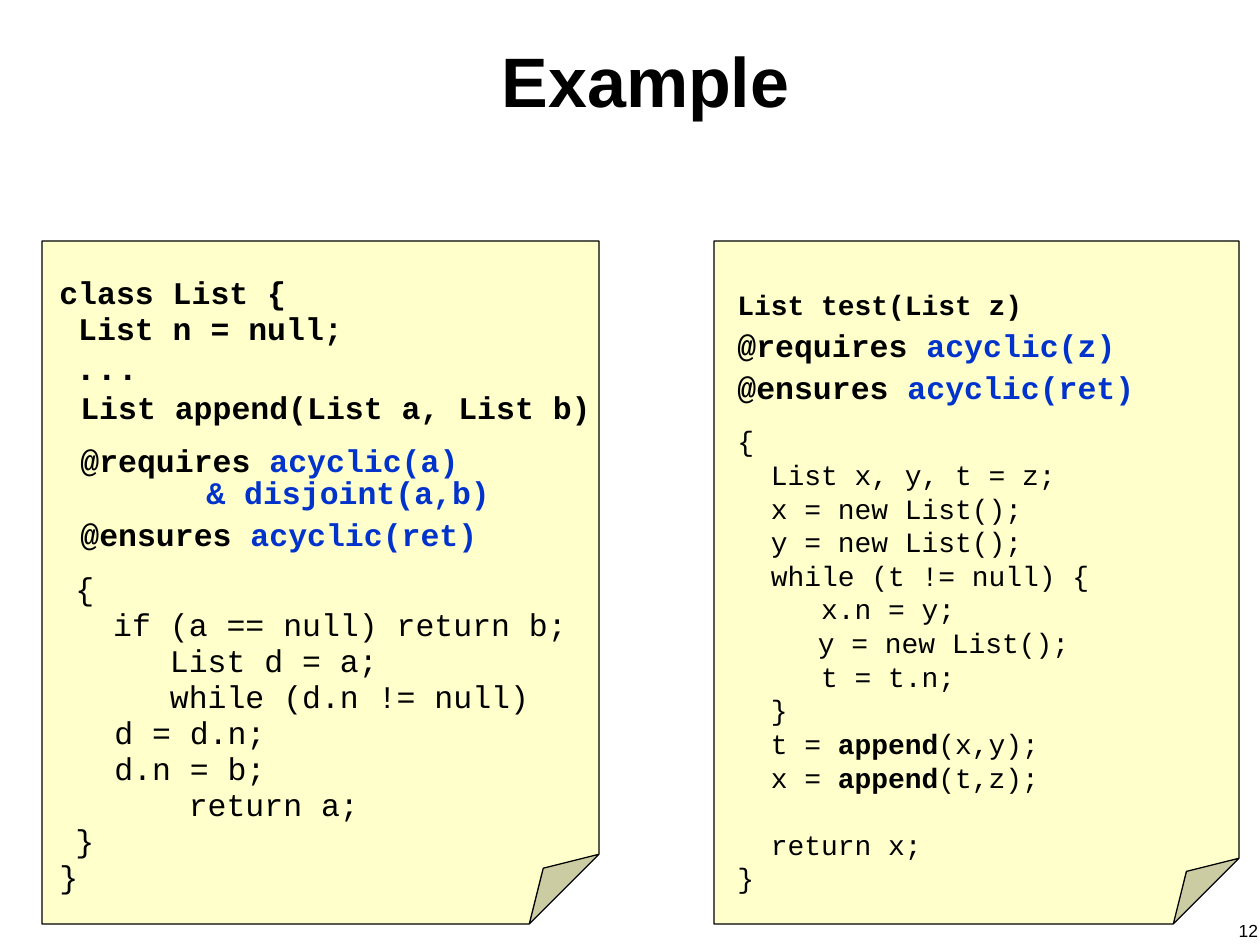
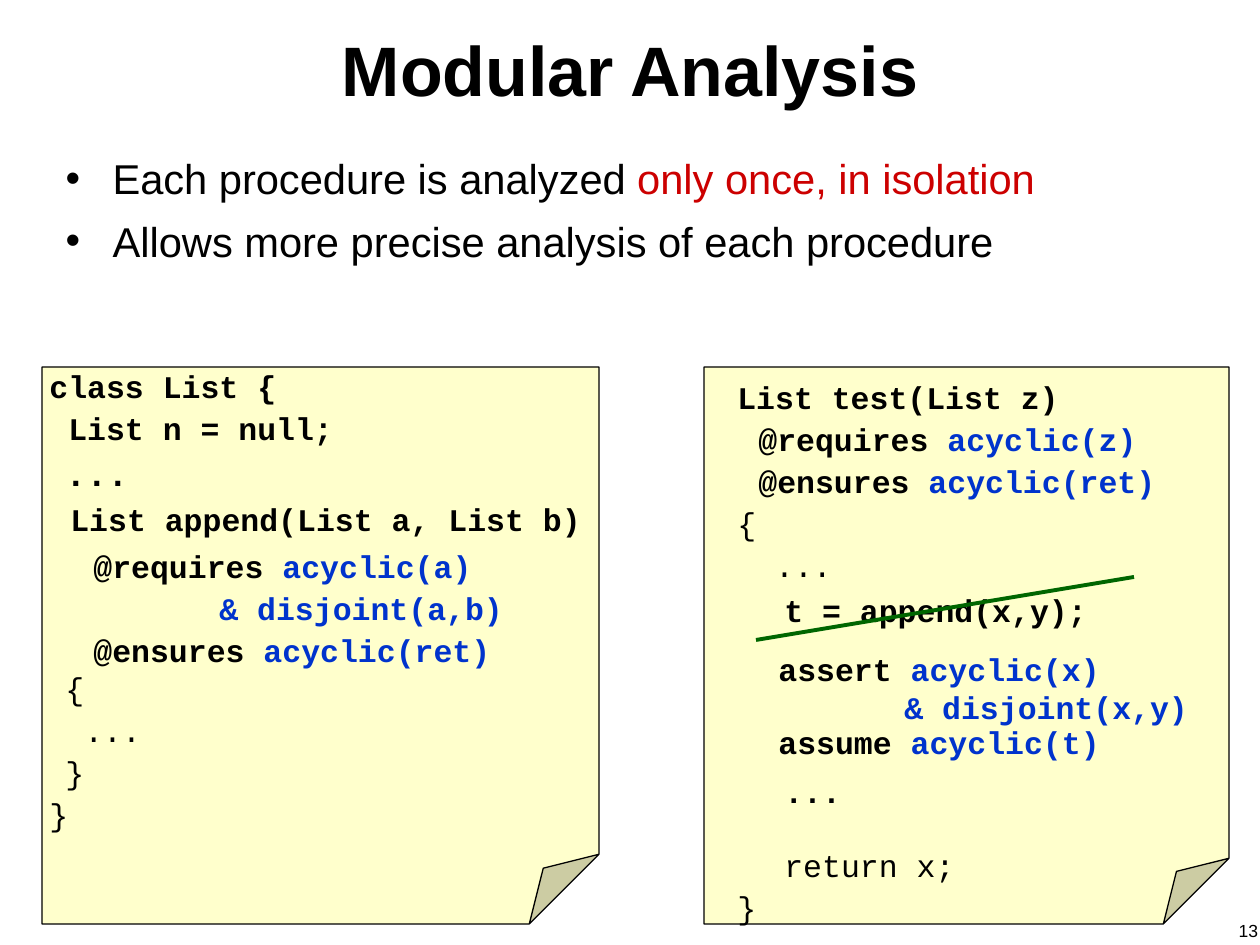
from dataclasses import dataclass
from typing import NamedTuple

from pptx import Presentation
from pptx import util as u
from pptx.dml.color import RGBColor
from pptx.enum import shapes, text
from pptx.oxml.xmlchemy import OxmlElement
from pptx.shapes.autoshape import Shape
from pptx.slide import Slide

PX_PER_INCH = 126
SLIDE_W, SLIDE_H = 1260, 945


@dataclass(frozen=True)
class Theme:
    ink: RGBColor = RGBColor(0x00, 0x00, 0x00)
    note: RGBColor = RGBColor(0xFF, 0xFF, 0xCC)
    formula: RGBColor = RGBColor(0x00, 0x33, 0xCC)
    emphasis: RGBColor = RGBColor(0xCC, 0x00, 0x00)
    strike: RGBColor = RGBColor(0x00, 0x66, 0x00)
    sans: str = "Arial"
    mono: str = "Courier New"
    title: float = 40
    body: float = 23.8
    code: float = 18
    small_code: float = 16
    ellipsis: float = 20
    number: float = 10


THEME = Theme()


class Box(NamedTuple):
    x: int
    y: int
    w: int
    h: int


class Run(NamedTuple):
    text: str
    bold: bool = False
    color: RGBColor = THEME.ink


@dataclass(frozen=True)
class Line:
    runs: tuple[Run, ...]
    indent: int = 0
    before: float | None = None
    size: float | None = None


@dataclass(frozen=True)
class CodeStyle:
    size: float
    spacing: float
    before: float


TEST_CODE = CodeStyle(THEME.small_code, 0.95, 1)
TIGHT_CODE = CodeStyle(THEME.code, 0.85, 2.2)
LOOSE_CODE = CodeStyle(THEME.code, 0.85, 5.6)
CHECK_CODE = CodeStyle(THEME.code, 1.0, 0)


def px(value: int) -> u.Emu:
    return u.Emu(round(value * u.Inches(1) / PX_PER_INCH))


def place(sp: Shape, box: Box) -> None:
    sp.left, sp.top, sp.width, sp.height = map(px, box)


def plain(words: str, indent: int = 0, before: float | None = None) -> Line:
    return Line((Run(words),), indent, before)


def strong(words: str, indent: int = 0, before: float | None = None,
           size: float | None = None) -> Line:
    return Line((Run(words, True),), indent, before, size)


def clause(keyword: str, formula: str) -> Line:
    return Line((Run(keyword, True), Run(f" {formula}", True, THEME.formula)))


def continued(formula: str, before: float | None = None) -> Line:
    return Line((Run(formula, True, THEME.formula),), 126, before)


def call(target: str, arguments: str) -> Line:
    return Line((Run(f"  {target} = "), Run("append", True), Run(f"{arguments};")))


def add_runs(p, runs: tuple[Run, ...], font: str, size: float) -> None:
    for run in runs:
        r = p.add_run()
        r.text = run.text
        r.font.name, r.font.size, r.font.bold = font, u.Pt(size), run.bold
        r.font.color.rgb = run.color


def add_code(s: Slide, box: Box, style: CodeStyle, lines: list[Line]) -> None:
    tf = s.shapes.add_textbox(*map(px, box)).text_frame
    tf.word_wrap = True
    for i, line in enumerate(lines):
        p = tf.add_paragraph() if i else tf.paragraphs[0]
        p.line_spacing = style.spacing
        if i:
            p.space_before = u.Pt(style.before if line.before is None else line.before)
        if line.indent:
            p._p.get_or_add_pPr().set("marL", str(px(line.indent)))
        add_runs(p, line.runs, THEME.mono, line.size or style.size)


def add_note(s: Slide, box: Box) -> None:
    sp = s.shapes.add_shape(shapes.MSO_SHAPE.FOLDED_CORNER, *map(px, box))
    sp.shadow.inherit = False
    fold = OxmlElement("a:gd")
    fold.set("name", "adj")
    fold.set("fmla", "val 12500")
    sp._element.spPr.prstGeom.get_or_add_avLst().append(fold)
    sp.fill.solid()
    sp.fill.fore_color.rgb = THEME.note
    sp.line.color.rgb = THEME.ink
    sp.line.width = u.Pt(0.75)


def add_strike(s: Slide, start: tuple[int, int], end: tuple[int, int]) -> None:
    line = s.shapes.add_connector(
        shapes.MSO_CONNECTOR.STRAIGHT, *map(px, start + end))
    line.line.color.rgb = THEME.strike
    line.line.width = u.Pt(2.25)
    line._element.spPr.append(OxmlElement("a:effectLst"))


def set_title(s: Slide, words: str, box: Box) -> None:
    sp = s.shapes.title
    place(sp, box)
    tf = sp.text_frame
    tf.auto_size = text.MSO_AUTO_SIZE.NONE
    tf.vertical_anchor = text.MSO_ANCHOR.MIDDLE
    p = tf.paragraphs[0]
    p.alignment = text.PP_ALIGN.CENTER
    add_runs(p, (Run(words, True),), THEME.sans, THEME.title)


def set_bullets(s: Slide, box: Box, items: list[tuple[Run, ...]]) -> None:
    sp = s.placeholders[1]
    place(sp, box)
    tf = sp.text_frame
    tf.auto_size = text.MSO_AUTO_SIZE.NONE
    for i, runs in enumerate(items):
        p = tf.add_paragraph() if i else tf.paragraphs[0]
        p.space_before = u.Pt(7 if i else 0)
        pPr = p._p.get_or_add_pPr()
        pPr.set("marL", str(px(47)))
        pPr.set("indent", str(px(-47)))
        bullet = OxmlElement("a:buChar")
        bullet.set("char", "•")
        pPr.append(bullet)
        add_runs(p, runs, THEME.sans, THEME.body)


def add_number(s: Slide, number: int) -> None:
    tf = s.shapes.add_textbox(*map(px, Box(1200, 914, 60, 31))).text_frame
    tf.word_wrap = True
    tf.margin_right = px(2)
    p = tf.paragraphs[0]
    p.alignment = text.PP_ALIGN.RIGHT
    add_runs(p, (Run(str(number)),), THEME.sans, THEME.number)


def class_header(style: CodeStyle) -> list[Line]:
    return [
        strong("class List {"),
        strong(" List n = null;"),
        strong("...", 16, style.before + 0.4, THEME.ellipsis),
        strong("List append(List a, List b)", 21, style.before + 1.4),
    ]


def append_contract(before: float) -> list[Line]:
    return [
        clause("@requires", "acyclic(a)"),
        continued("& disjoint(a,b)", before),
        clause("@ensures", "acyclic(ret)"),
    ]


def add_test_contract(s: Slide, x: int, y: int) -> None:
    lines = (clause("@requires", "acyclic(z)"), clause("@ensures", "acyclic(ret)"))
    for i, line in enumerate(lines):
        add_code(s, Box(x, y + 42 * i, 510, 63), LOOSE_CODE, [line])


def build_example(prs) -> None:
    s = prs.slides.add_slide(prs.slide_layouts[5])
    set_title(s, "Example", Box(31, 0, 1229, 158))
    add_note(s, Box(714, 241, 525, 683))
    add_note(s, Box(42, 241, 557, 683))
    add_code(s, Box(725, 284, 494, 609), TEST_CODE, [
        strong("List test(List z)"),
        plain("{", before=59.5),
        plain("  List x, y, t = z;"),
        plain("  x = new List();"),
        plain("  y = new List();"),
        plain("  while (t != null) {"),
        plain("     x.n = y;"),
        plain("  y = new List();", 47),
        plain("     t = t.n;"),
        plain("  }"),
        call("t", "(x,y)"),
        call("x", "(t,z)"),
        plain("  return x;", before=20.2),
        plain("}"),
    ])
    add_code(s, Box(47, 273, 593, 640), TIGHT_CODE, class_header(TIGHT_CODE) + [
        plain("{", 16, 85),
        plain("  if (a == null) return b;", 16),
        plain("     List d = a;", 16),
        plain("     while (d.n != null)", 16),
        plain("d = d.n;", 55),
        plain("d.n = b;", 55),
        plain("      return a;", 16),
        plain("}", 16),
        plain("}"),
    ])
    add_code(s, Box(68, 441, 507, 126), LOOSE_CODE, append_contract(0))
    add_test_contract(s, 725, 326)
    add_number(s, 12)


def build_modular_analysis(prs) -> None:
    s = prs.slides.add_slide(prs.slide_layouts[1])
    set_title(s, "Modular Analysis", Box(63, 0, 1134, 137))
    set_bullets(s, Box(53, 147, 1165, 126), [
        (Run("Each procedure is analyzed "),
         Run("only once, in isolation", color=THEME.emphasis)),
        (Run("Allows more precise analysis of each procedure"),),
    ])
    add_note(s, Box(704, 367, 525, 557))
    add_note(s, Box(42, 367, 557, 557))
    add_code(s, Box(725, 378, 441, 567), LOOSE_CODE, [
        strong("List test(List z)"),
        plain("{", before=53.6),
        plain("  ..."),
        strong("t = append(x,y);", 47, 7),
        strong("...", 47, 85),
        plain("return x;", 47, 23.9),
        plain("}"),
    ])
    add_code(s, Box(37, 367, 593, 503), LOOSE_CODE, class_header(LOOSE_CODE) + [
        plain("{", 16, 78.2),
        plain(" ...", 16),
        plain("}", 16),
        plain("}"),
    ])
    add_code(s, Box(766, 717, 494, 59), CHECK_CODE, [clause("assume", "acyclic(t)")])
    add_strike(s, (756, 640), (1134, 577))
    add_code(s, Box(81, 547, 507, 150), LOOSE_CODE, append_contract(5.6))
    add_test_contract(s, 746, 420)
    add_code(s, Box(766, 644, 494, 88), CHECK_CODE, [
        clause("assert", "acyclic(x)"),
        continued("& disjoint(x,y)"),
    ])
    add_number(s, 13)


def main() -> None:
    prs = Presentation()
    prs.slide_width, prs.slide_height = px(SLIDE_W), px(SLIDE_H)
    build_example(prs)
    build_modular_analysis(prs)
    prs.save("out.pptx")


if __name__ == "__main__":
    main()
